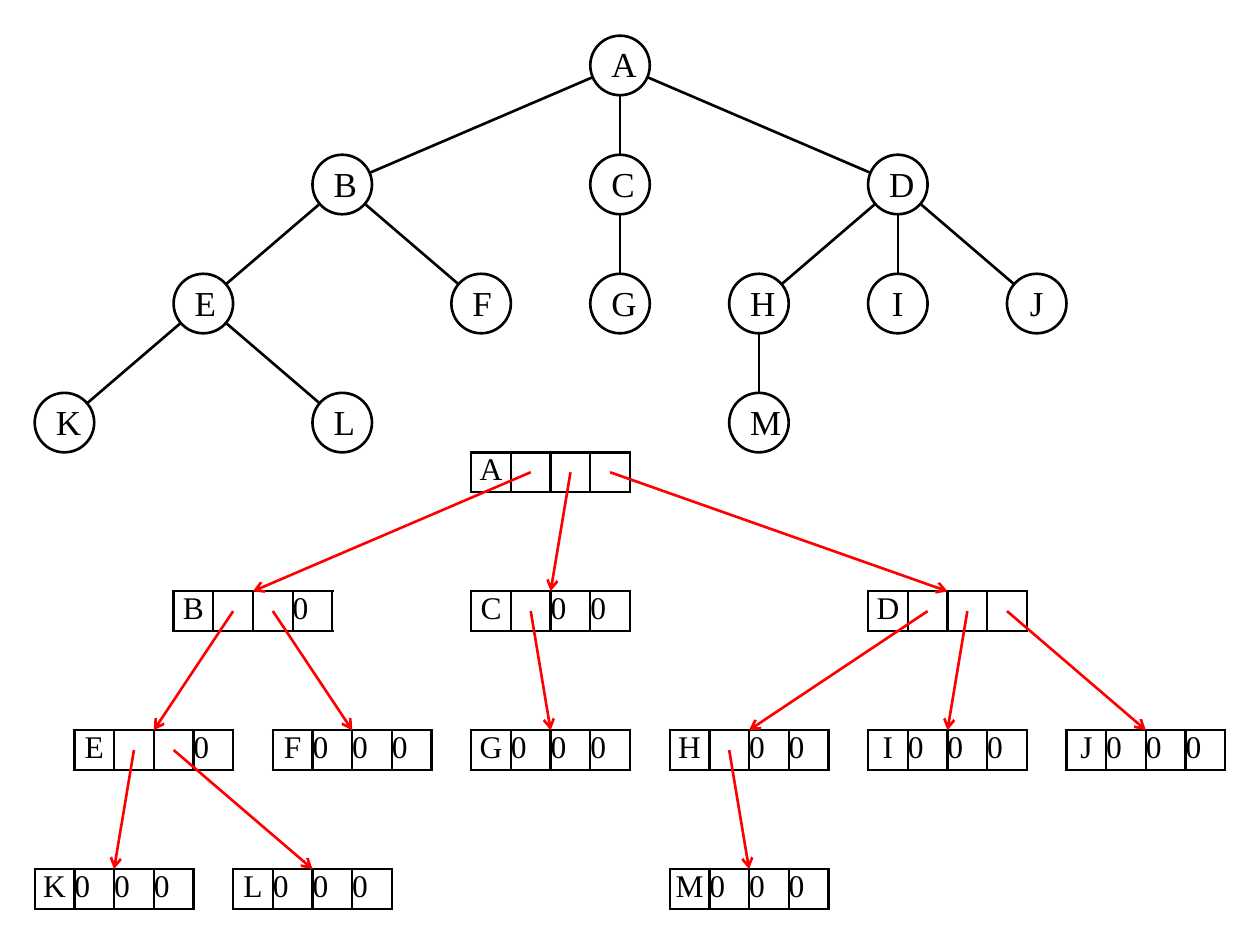
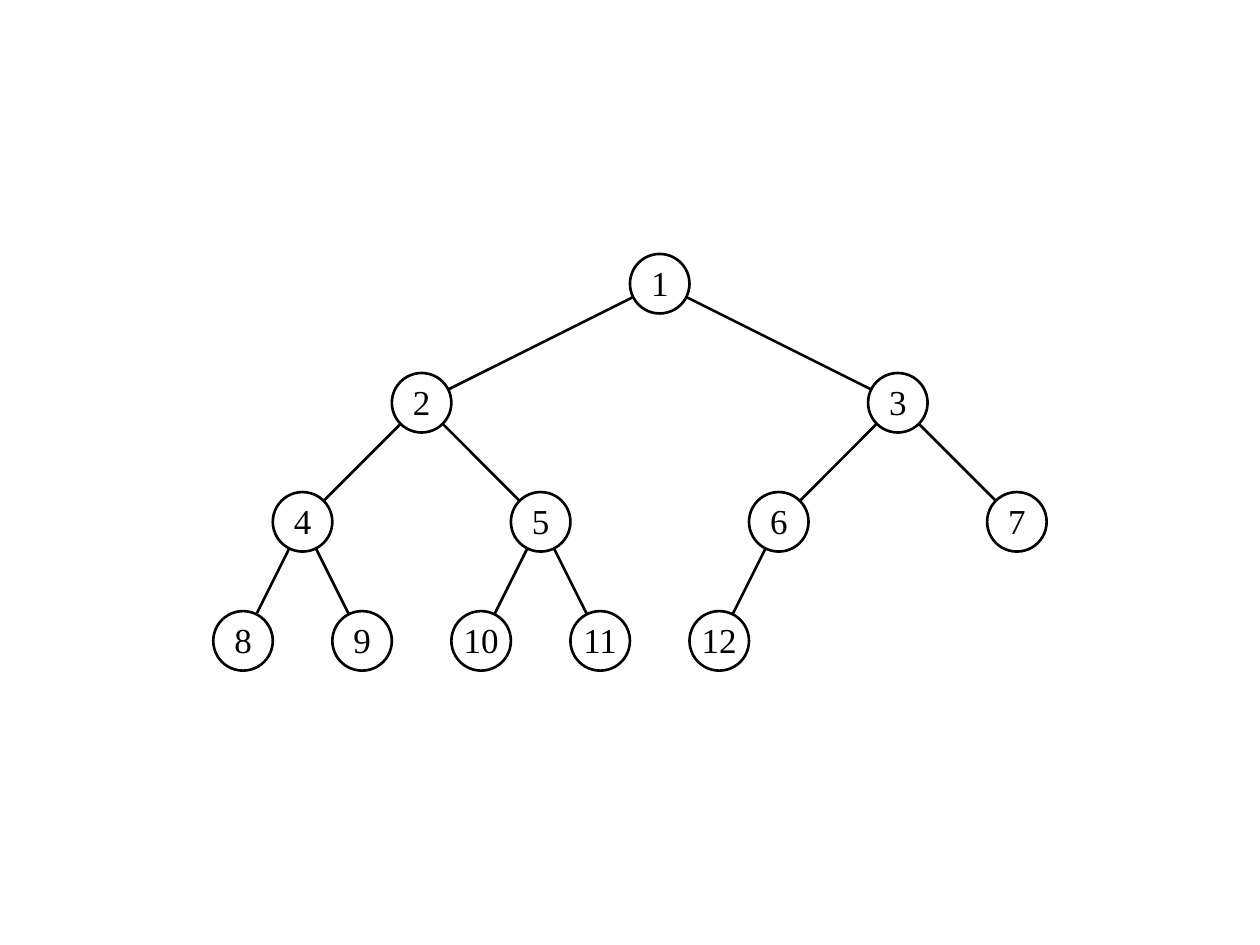
from lxml import etree
from pptx import Presentation
from pptx import util as u
from pptx.dml import color
from pptx.enum import shapes, text
from pptx.oxml import ns

FONT = "Times New Roman"
BLACK, WHITE, RED = "000000", "FFFFFF", "FF0000"
LINE = u.Pt(1.5)
DISC = 1.2    # circle diameter, cm
STEP = 2.4    # distance between tree levels
CELL = 0.8    # side of a record cell
DROP = 2.8    # distance between record levels


def ink(hue):
    """Turn a hex string into a colour."""
    return color.RGBColor.from_string(hue)


def join(page, start, end, hue):
    """Draw a plain straight line between two points in cm."""
    line = page.shapes.add_connector(
        shapes.MSO_CONNECTOR.STRAIGHT, *[u.Cm(v) for v in (*start, *end)])
    line.line.color.rgb = ink(hue)
    line.line.width = LINE
    etree.SubElement(line._element.spPr, ns.qn("a:effectLst"))
    return line


deck = Presentation()
deck.slide_width, deck.slide_height = u.Cm(25.4), u.Cm(19.05)
first, second = [deck.slides.add_slide(deck.slide_layouts[6]) for _ in range(2)]
words = []    # (text frame, size), formatted at the end

# The lettered tree: children of each node, then column and level of each node
kids = {"A": "BCD", "B": "EF", "C": "G", "D": "HIJ", "E": "KL", "H": "M"}
grid = {"A": (4, 0), "B": (2, 1), "C": (4, 1), "D": (6, 1), "E": (1, 2),
        "F": (3, 2), "G": (4, 2), "H": (5, 2), "I": (6, 2), "J": (7, 2),
        "K": (0, 3), "L": (2, 3), "M": (5, 3)}

# Linked records: left edge of each, by level
rows = [{"A": 9.5}, {"B": 3.5, "C": 9.5, "D": 17.5},
        {name: 1.5 + 4 * i for i, name in enumerate("EFGHIJ")},
        {"K": 0.7, "L": 4.7, "M": 13.5}]
spots = {name: (left, 9.12 + DROP * level)
         for level, row in enumerate(rows) for name, left in row.items()}

for name, (left, top) in spots.items():
    table = first.shapes.add_table(
        1, 4, u.Cm(left), u.Cm(top), u.Cm(4 * CELL), u.Cm(CELL)).table
    table.first_row = table.horz_banding = False
    table.rows[0].height = u.Cm(CELL)
    used = len(kids.get(name, ""))
    for i, cell in enumerate(table.iter_cells()):
        table.columns[i].width = u.Cm(CELL)
        cell.margin_left = cell.margin_right = 0
        cell.margin_top = cell.margin_bottom = 0
        for side in ("lnL", "lnR", "lnT", "lnB"):
            edge = etree.SubElement(
                cell._tc.get_or_add_tcPr(), ns.qn("a:" + side), w=str(LINE))
            fill = etree.SubElement(edge, ns.qn("a:solidFill"))
            etree.SubElement(fill, ns.qn("a:srgbClr"), val=BLACK)
        cell.fill.background()
        if i == 0:
            cell.text_frame.text = name
            cell.text_frame.paragraphs[0].alignment = text.PP_ALIGN.CENTER
        elif i > used:
            cell.text_frame.text = "0"
        words.append((cell.text_frame, 18))

for name, heirs in kids.items():
    left, top = spots[name]
    for i, heir in enumerate(heirs, 1):
        x, y = spots[heir]
        arrow = join(first, (left + (i + 0.5) * CELL, top + CELL / 2),
                     (x + 2 * CELL, y), RED)
        etree.SubElement(arrow.line._get_or_add_ln(), ns.qn("a:tailEnd"),
                         type="arrow")

# Both trees: centre of each node, and pairs of parent and child
marks = {name: (1.3 + 2.8 * col, 1.32 + STEP * level)
         for name, (col, level) in grid.items()}
pairs = [(name, heir) for name in kids for heir in kids[name]]

heap = {}
for n in range(1, 13):
    level = n.bit_length() - 1
    gap = STEP * 2 ** (3 - level)
    heap[str(n)] = (3.7 + gap * (n - 2 ** level + 0.5), 5.72 + STEP * level)
limbs = [(str(n // 2), str(n)) for n in range(2, 13)]

for page, nodes, links in ((first, marks, pairs), (second, heap, limbs)):
    for top, low in links:
        join(page, nodes[top], nodes[low], BLACK)
    for name, (x, y) in nodes.items():
        disc = page.shapes.add_shape(
            shapes.MSO_SHAPE.OVAL, u.Cm(x - DISC / 2), u.Cm(y - DISC / 2),
            u.Cm(DISC), u.Cm(DISC))
        disc.shadow.inherit = False
        disc.fill.solid()
        disc.fill.fore_color.rgb = ink(WHITE)
        disc.line.color.rgb = ink(BLACK)
        disc.line.width = LINE
        frame = disc.text_frame
        frame.text = name
        frame.word_wrap = True
        frame.vertical_anchor = text.MSO_ANCHOR.BOTTOM
        frame.margin_left = frame.margin_right = u.Cm(0.25 if len(name) == 1 else 0)
        frame.margin_top, frame.margin_bottom = 0, u.Cm(0.03)
        frame.paragraphs[0].alignment = text.PP_ALIGN.CENTER
        words.append((frame, 20))

for frame, size in words:
    for run in frame.paragraphs[0].runs:
        run.font.name = FONT
        run.font.size = u.Pt(size)
        run.font.color.rgb = ink(BLACK)

deck.save("out.pptx")
